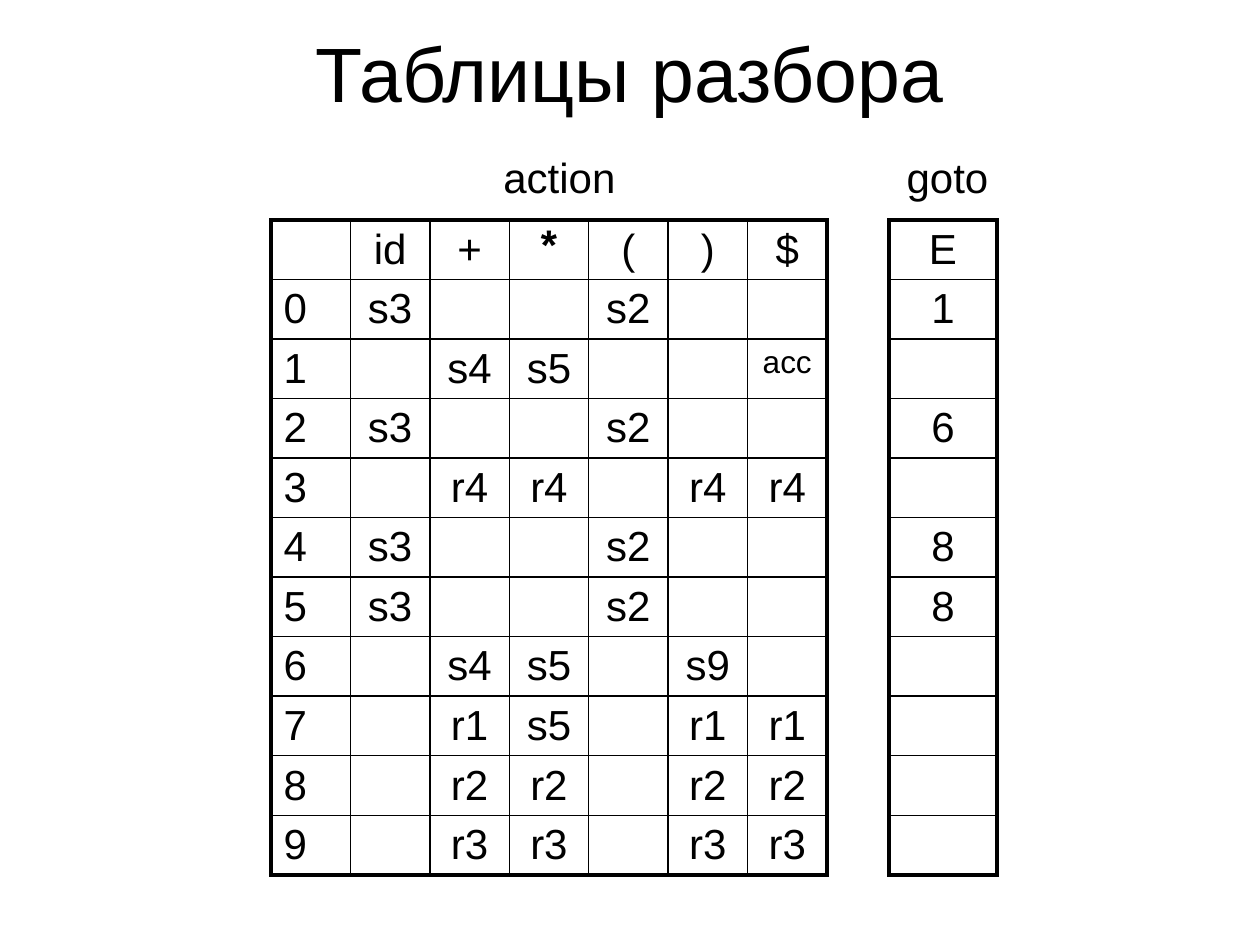
from lxml import etree
from pptx import Presentation, util as u
from pptx.dml.color import RGBColor
from pptx.enum import text
from pptx.oxml.ns import qn

PX = 914400 / 126
BLACK = RGBColor(0, 0, 0)
WHITE = RGBColor(255, 255, 255)
THIN, THICK = 1, 2.25


def px(value):
    return u.Emu(round(value * PX))


def write(text_frame, words, size, align):
    text_frame.text = words
    paragraph = text_frame.paragraphs[0]
    paragraph.alignment = align
    for run in paragraph.runs:
        run.font.size = u.Pt(size)
        run.font.name = "Arial"
        run.font.bold = False
        run.font.color.rgb = BLACK


presentation = Presentation()
presentation.slide_width = px(1260)
presentation.slide_height = px(945)
slide = presentation.slides.add_slide(presentation.slide_layouts[6])
slide.background.fill.solid()
slide.background.fill.fore_color.rgb = WHITE

LEFT, CENTER = text.PP_ALIGN.LEFT, text.PP_ALIGN.CENTER

# Title and table captions: words, left, top, width, height, size, alignment
labels = [
    ("Таблицы разбора", 63, 18, 1134, 107, 44, CENTER),
    ("goto", 868, 145, 159, 63, 24, CENTER),
    ("action", 491, 145, 149, 63, 24, LEFT),
]
for words, left, top, width, height, size, align in labels:
    box = slide.shapes.add_textbox(px(left), px(top), px(width), px(height))
    box.text_frame.word_wrap = True
    if size == 44:
        box.text_frame.vertical_anchor = text.MSO_ANCHOR.MIDDLE
    else:
        box.text_frame.margin_top = px(7)
    write(box.text_frame, words, size, align)

# Parsing tables, one row per state
action_rows = [
    ["", "id", "+", "*", "(", ")", "$"],
    ["0", "s3", "", "", "s2", "", ""],
    ["1", "", "s4", "s5", "", "", "acc"],
    ["2", "s3", "", "", "s2", "", ""],
    ["3", "", "r4", "r4", "", "r4", "r4"],
    ["4", "s3", "", "", "s2", "", ""],
    ["5", "s3", "", "", "s2", "", ""],
    ["6", "", "s4", "s5", "", "s9", ""],
    ["7", "", "r1", "s5", "", "r1", "r1"],
    ["8", "", "r2", "r2", "", "r2", "r2"],
    ["9", "", "r3", "r3", "", "r3", "r3"],
]
goto_rows = [[entry] for entry in ["E", "1", "", "6", "", "8", "8", "", "", "", ""]]

for rows, left, width in [(action_rows, 271, 556), (goto_rows, 889, 108)]:
    last_row, last_column = len(rows) - 1, len(rows[0]) - 1
    frame = slide.shapes.add_table(
        len(rows), len(rows[0]), px(left), px(220), px(width), px(655))
    table = frame.table
    table.first_row = False
    table.horz_banding = False
    for column in table.columns:
        column.width = px(width / len(rows[0]))
    for row in table.rows:
        row.height = px(655 / len(rows))

    for i, entries in enumerate(rows):
        for j, entry in enumerate(entries):
            cell = table.cell(i, j)
            cell.margin_bottom = px(2)
            is_state = j == 0 and last_column > 0
            write(cell.text_frame, entry, 18 if entry == "acc" else 24,
                  LEFT if is_state else CENTER)
            cell.text_frame.paragraphs[0].space_before = u.Pt(8)
            if entry == "*":
                star = cell.text_frame.paragraphs[0].runs[0].font
                star.name = "Courier New"
                star.bold = True

            # Thick outer frame, thin inner grid
            properties = cell._tc.get_or_add_tcPr()
            outer_edges = {"a:lnL": j == 0, "a:lnR": j == last_column,
                           "a:lnT": i == 0, "a:lnB": i == last_row}
            for tag, is_outer in outer_edges.items():
                line = etree.SubElement(properties, qn(tag))
                line.set("w", str(u.Pt(THICK if is_outer else THIN)))
                fill = etree.SubElement(line, qn("a:solidFill"))
                etree.SubElement(fill, qn("a:srgbClr")).set("val", str(BLACK))
            cell.fill.background()

presentation.save("out.pptx")
